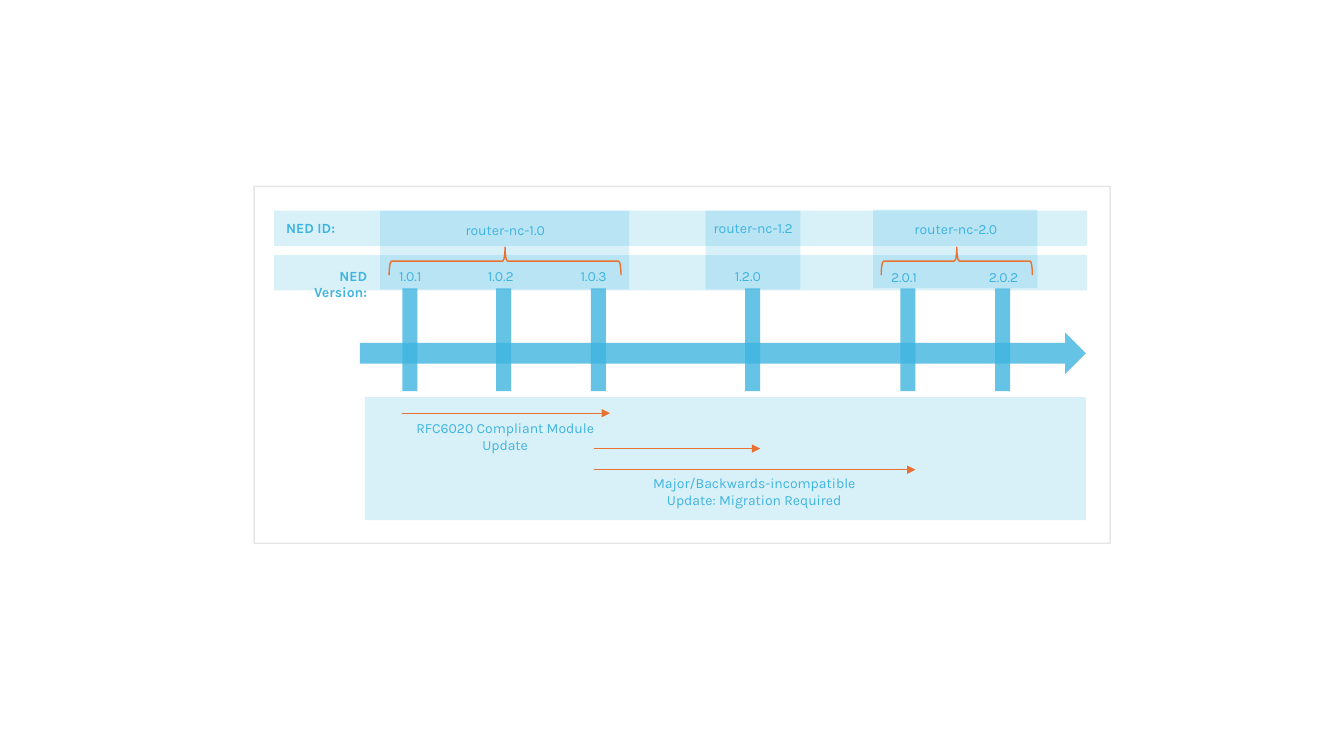
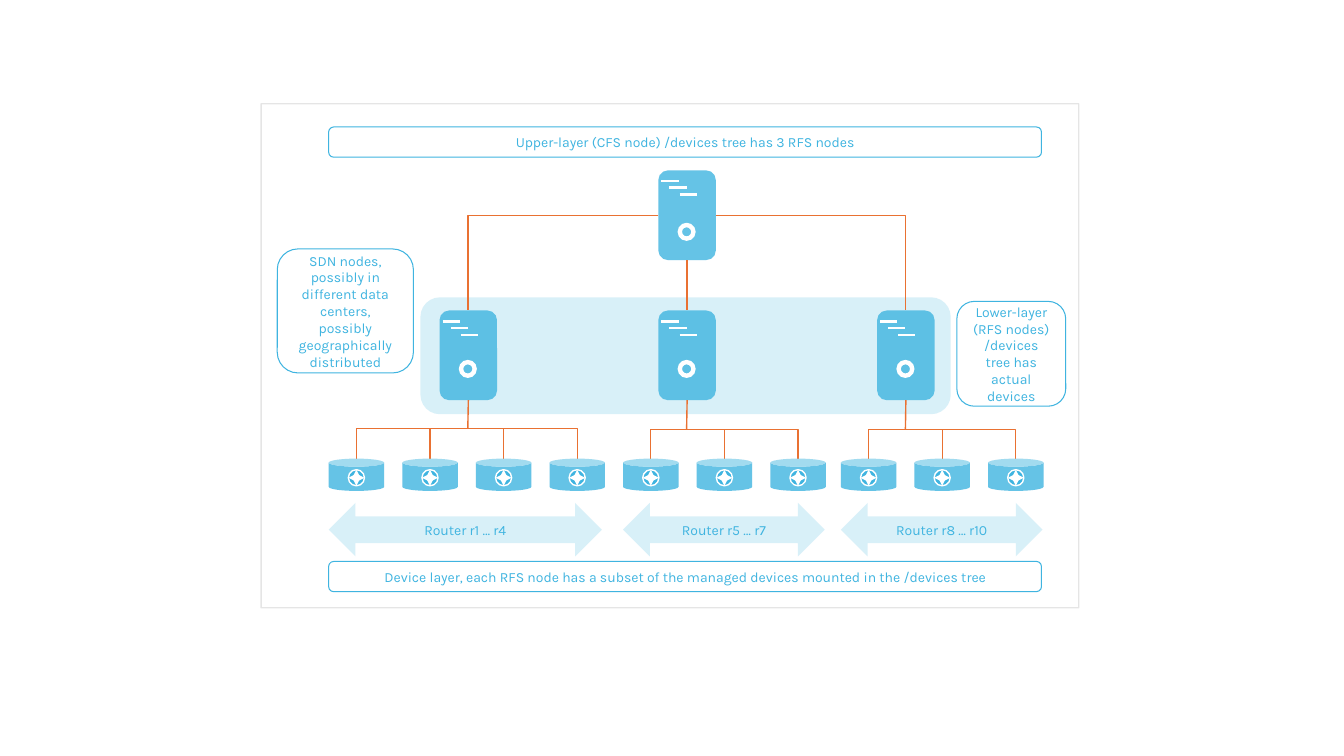
from pptx import Presentation
from pptx import util as u
from pptx.dml.color import RGBColor
from pptx.enum import shapes, text
from pptx.oxml import ns, xmlchemy

COLORS = {"blue": "3FB4E0", "orange": "E97132", "grey": "808080", "white": "FFFFFF"}
FONT = {"name": "Karla", "size": u.Pt(10)}
LIGHT = {"fill": "blue", "alpha": 20}
STRONG = {"fill": "blue", "alpha": 80}
FRAME = {"line": "grey", "alpha": 20}
OUTLINE = {"line": "blue", "width": 0}
BRACE = {"line": "orange", "rotation": 270}
GLYPH = {"color": "white", "head": "triangle", "tail": "triangle"}
KIND = shapes.MSO_SHAPE
ALIGN = text.PP_ALIGN


def add_shape(s, kind, box, words=None, fill=None, line=None, width=1, alpha=100,
              align=ALIGN.CENTER, bold=False, rotation=0):
    pos = [u.Inches(v) for v in box]
    if kind is None:
        sp = s.shapes.add_textbox(*pos)
    else:
        sp = s.shapes.add_shape(kind, *pos)
        sp.shadow.inherit = False
        sp.rotation = rotation
        if fill:
            sp.fill.solid()
            sp.fill.fore_color.rgb = RGBColor.from_string(COLORS[fill])
        else:
            sp.fill.background()
        if line:
            sp.line.color.rgb = RGBColor.from_string(COLORS[line])
            sp.line.width = u.Pt(width)
        else:
            sp.line.fill.background()
        if alpha < 100:
            for color in sp._element.spPr.iter(ns.qn("a:srgbClr")):
                node = xmlchemy.OxmlElement("a:alpha")
                node.set("val", str(alpha * 1000))
                color.append(node)
    if words:
        tf = sp.text_frame
        tf.word_wrap = True
        p = tf.paragraphs[0]
        p.alignment = align
        r = p.add_run()
        r.text = words
        for name, value in {**FONT, "bold": bold}.items():
            setattr(r.font, name, value)
        r.font.color.rgb = RGBColor.from_string(COLORS["blue"])
    return sp


def add_line(s, start, end, color="orange", width=1, bent=False, head=None, tail=None):
    kind = shapes.MSO_CONNECTOR.ELBOW if bent else shapes.MSO_CONNECTOR.STRAIGHT
    c = s.shapes.add_connector(kind, *[u.Inches(v) for v in (*start, *end)])
    c.line.color.rgb = RGBColor.from_string(COLORS[color])
    c.line.width = u.Pt(width)
    props = c._element.spPr
    if bent:
        props.find(ns.qn("a:prstGeom")).set("prst", "bentConnector2")
    for tag, arrow in (("a:headEnd", head), ("a:tailEnd", tail)):
        if arrow:
            node = xmlchemy.OxmlElement(tag)
            node.set("type", arrow)
            props.find(ns.qn("a:ln")).append(node)
    props.append(xmlchemy.OxmlElement("a:effectLst"))
    return c


prs = Presentation()
prs.slide_width, prs.slide_height = u.Inches(13.33), u.Inches(7.5)
blank = prs.slide_layouts[6]

s = prs.slides.add_slide(blank)
for box in (
    (8.66, 2.08, 1.63, 0.78),
    (3.77, 2.09, 2.47, 0.78),
    (2.72, 2.53, 8.06, 0.35),
    (3.62, 3.94, 7.15, 1.22),
    (2.72, 2.09, 8.06, 0.35),
    (7, 2.09, 0.94, 0.78),
):
    add_shape(s, KIND.RECTANGLE, box, **LIGHT)
add_shape(s, KIND.RECTANGLE, (2.52, 1.85, 8.49, 3.54), **FRAME)
add_shape(s, KIND.RIGHT_ARROW, (3.57, 3.3, 7.2, 0.41), **STRONG)

for bar_x, label_x, label_y, version in (
    (3.99, 3.86, 2.6, "1.0.1"),
    (4.92, 4.74, 2.6, "1.0.2"),
    (5.86, 5.66, 2.6, "1.0.3"),
    (7.39, 7.19, 2.6, "1.2.0"),
    (8.93, 8.74, 2.61, "2.0.1"),
    (9.87, 9.71, 2.61, "2.0.2"),
):
    add_shape(s, KIND.RECTANGLE, (bar_x, 2.86, 0.15, 1.02), **STRONG)
    add_shape(s, None, (label_x, label_y, 0.54, 0.27), version, align=ALIGN.LEFT)

for box, label in (
    ((4.37, 2.15, 1.28, 0.27), "router-nc-1.0"),
    ((6.83, 2.13, 1.28, 0.27), "router-nc-1.2"),
    ((8.84, 2.14, 1.28, 0.27), "router-nc-2.0"),
    ((3.81, 4.11, 2.4, 0.44), "RFC6020 Compliant Module Update"),
    ((6.28, 4.66, 2.4, 0.44), "Major/Backwards-incompatible Update: Migration Required"),
):
    add_shape(s, None, box, label)
add_shape(s, None, (2.74, 2.13, 0.83, 0.27), "NED ID:", align=ALIGN.LEFT, bold=True)
add_shape(s, None, (2.71, 2.6, 1.03, 0.44), "NED Version:", align=ALIGN.RIGHT, bold=True)

for x1, x2, y in ((3.99, 6.05, 4.1), (5.89, 7.54, 4.45), (5.89, 9.08, 4.66)):
    add_line(s, (x1, y), (x2, y), tail="triangle")
for box in ((9.35, 1.84, 0.28, 1.5), (4.87, 1.44, 0.28, 2.3)):
    add_shape(s, KIND.RIGHT_BRACE, box, **BRACE)

s = prs.slides.add_slide(blank)
add_shape(s, KIND.ROUNDED_RECTANGLE, (4.17, 2.95, 5.26, 1.16), **LIGHT)
add_shape(s, KIND.RECTANGLE, (2.59, 1.03, 8.11, 5), **FRAME)

servers = []
for x, y, dial_y in ((6.53, 1.69, 2.21), (4.36, 3.08, 3.57), (6.53, 3.08, 3.57), (8.7, 3.08, 3.57)):
    servers.append(add_shape(s, KIND.ROUNDED_RECTANGLE, (x, y, 0.57, 0.89), **STRONG))
    for dx, dy in ((0.03, 0.11), (0.11, 0.17), (0.21, 0.24)):
        add_line(s, (x + dx, y + dy), (x + dx + 0.17, y + dy), "white", 1.5)
    add_shape(s, KIND.DONUT, (x + 0.19, dial_y, 0.18, 0.18), fill="white")

top, *lower = servers
for start_x, end_x in ((6.53, 4.64), (7.1, 8.98)):
    add_line(s, (start_x, 2.14), (end_x, 3.08), bent=True)
c = add_line(s, (6.81, 2.58), (6.81, 3.08))
c.begin_connect(top, 2)
c.end_connect(lower[1], 0)

can_y, can_w, can_step = 4.55, 0.55, 0.73
for server, hub_x, bus_y, left, count, arrow_w, label in (
    (lower[0], 4.64, 4.25, 3.26, 4, 2.71, "Router r1 … r4"),
    (lower[1], 6.81, 4.26, 6.18, 3, 2, "Router r5 … r7"),
    (lower[2], 8.98, 4.26, 8.34, 3, 2, "Router r8 … r10"),
):
    c = add_line(s, (hub_x, 3.97), (hub_x, bus_y))
    c.begin_connect(server, 2)
    for i in range(count):
        x = left + i * can_step
        mid_x = x + can_w / 2
        outer = i in (0, count - 1)
        add_line(s, (hub_x if outer else mid_x, bus_y), (mid_x, can_y), bent=outer)
        add_shape(s, KIND.CAN, (x, can_y, can_w, 0.32), **STRONG)
        add_shape(s, KIND.OVAL, (mid_x - 0.08, 4.66, 0.16, 0.16), fill="blue", line="white")
        add_line(s, (mid_x, 4.66), (mid_x, 4.82), **GLYPH)
        add_line(s, (mid_x - 0.08, 4.74), (mid_x + 0.08, 4.74), **GLYPH)
    add_shape(s, KIND.LEFT_RIGHT_ARROW, (left, 4.99, arrow_w, 0.53), label, **LIGHT)

for box, label in (
    ((2.75, 2.47, 1.35, 1.23),
     "SDN nodes, possibly in different data centers, possibly geographically distributed"),
    ((9.49, 2.99, 1.08, 1.04), "Lower-layer (RFS nodes) /devices tree has actual devices"),
    ((3.26, 1.26, 7.07, 0.3), "Upper-layer (CFS node) /devices tree has 3 RFS nodes"),
    ((3.26, 5.57, 7.07, 0.3),
     "Device layer, each RFS node has a subset of the managed devices mounted in the /devices tree"),
):
    add_shape(s, KIND.ROUNDED_RECTANGLE, box, label, **OUTLINE)

prs.save("out.pptx")
